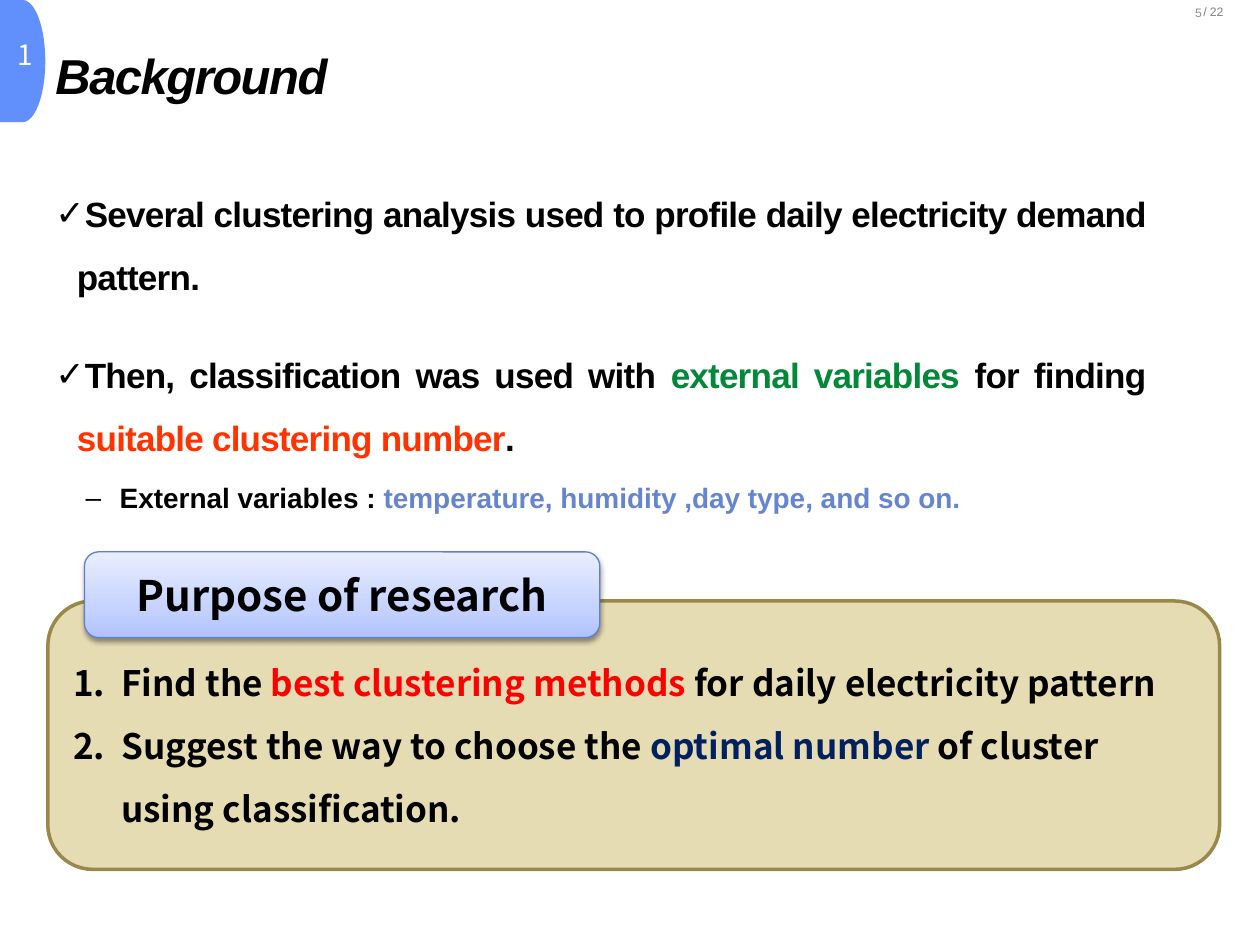
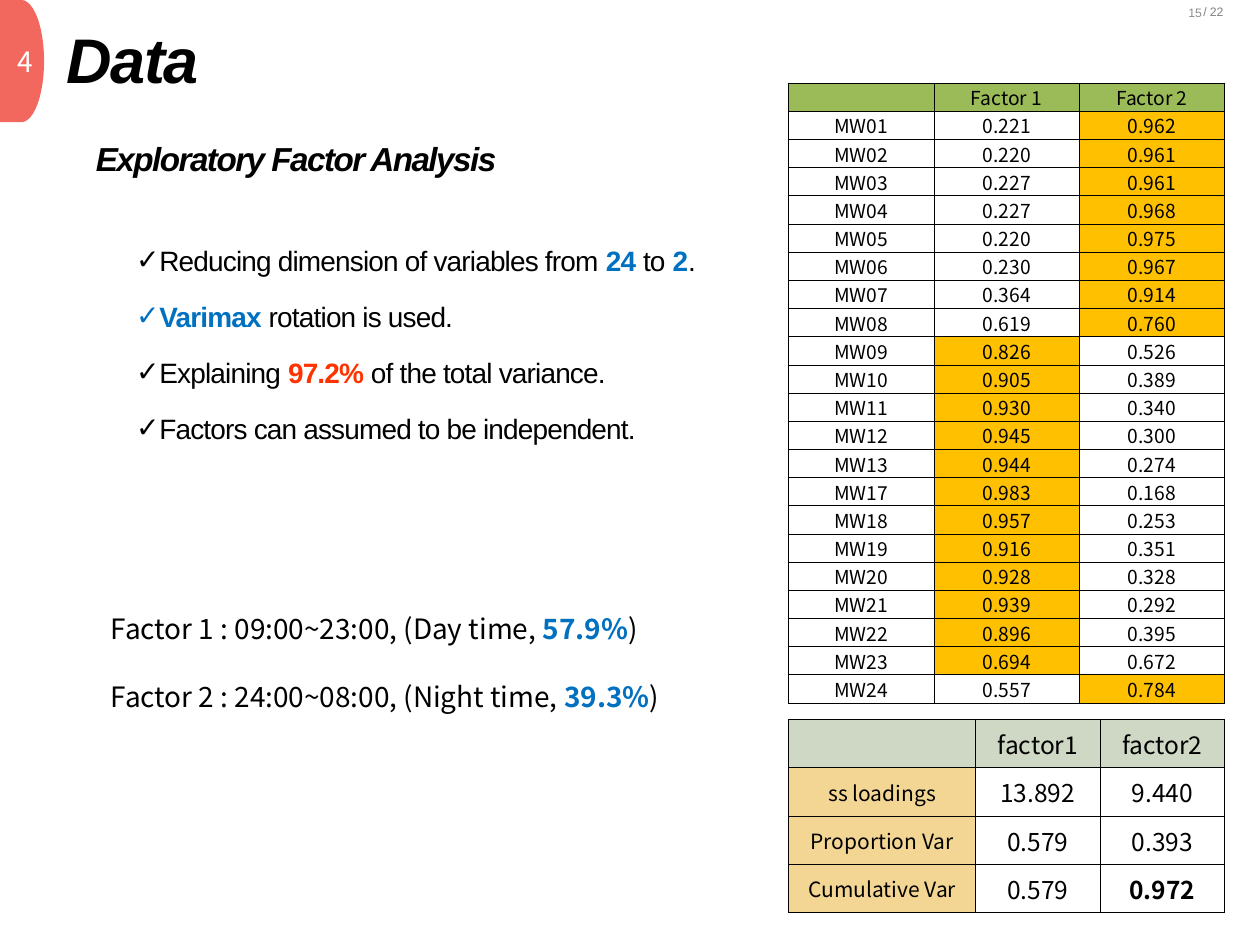
from pptx import Presentation
from pptx.dml.color import RGBColor
from pptx.enum.shapes import MSO_SHAPE
from pptx.enum.text import MSO_ANCHOR, MSO_AUTO_SIZE, PP_ALIGN
from pptx.oxml import parse_xml
from pptx.oxml.ns import nsdecls, qn
from pptx.util import Inches, Pt

LEFT, RIGHT, CENTER, FULL = (PP_ALIGN.LEFT, PP_ALIGN.RIGHT,
                             PP_ALIGN.CENTER, PP_ALIGN.JUSTIFY)
TOP, MIDDLE = MSO_ANCHOR.TOP, MSO_ANCHOR.MIDDLE
ROUND, DELAY = MSO_SHAPE.ROUNDED_RECTANGLE, MSO_SHAPE.FLOWCHART_DELAY
FIXED = MSO_AUTO_SIZE.NONE

SANS, NOTO = "Arial", "Noto Sans CJK KR"
BLACK, WHITE, BLUE, RED = "000000", "FFFFFF", "0070C0", "FF3300"
CELL = 0.1  # the slide is a grid of 100 columns and 75 rows
INSET = (0.09, 0.04, 0.09, 0.04)
PLAIN = (0.1, 0.05, 0.1, 0.05)
TIGHT = (0.01, 0, 0.01, 0)
CHECK = '<a:buChar {} char="\u2713"/>'
DASH = '<a:buChar {} char="\u2013"/>'
COUNT = '<a:buAutoNum {} type="arabicPeriod"/>'
BARE = "<a:buNone {}/>"


def rgb(text):
    """Turn a hex string into a colour."""
    return RGBColor.from_string(text)


def grid(*cells):
    """Turn grid cells into lengths."""
    return [Inches(cell * CELL) for cell in cells]


def xml(text):
    """Make an element from text with a slot for the namespace."""
    return parse_xml(text.format(nsdecls("a")))


def paint(fill, tone, alpha=None):
    """Fill with one colour, at a percentage of opacity if given."""
    fill.solid()
    fill.fore_color.rgb = rgb(tone)
    if alpha:
        node = fill._xPr.find(qn("a:solidFill"))[0]
        node.append(xml(f'<a:alpha {{}} val="{alpha * 1000}"/>'))


def edge(cell, width):
    """Draw black lines on the four sides of a cell."""
    props = cell._tc.get_or_add_tcPr()
    for side in "LRTB":
        props.append(xml(
            f'<a:ln{side} {{}} w="{Pt(width)}"><a:solidFill>'
            f'<a:srgbClr val="{BLACK}"/></a:solidFill></a:ln{side}>'))


class Deck:
    """Holds the shared style and the current slide."""

    def __init__(self):
        """Start an empty deck."""
        self.prs = Presentation()
        self.prs.slide_width, self.prs.slide_height = grid(100, 75)

    def start(self, layout, page, title, size, spot, badge):
        """Open a slide with its title, badge and page number."""
        self.slide = self.prs.slides.add_slide(self.prs.slide_layouts[layout])
        self.head(0, spot, title, size)
        digit, tone, col, row = badge
        paint(self.shape(DELAY, (col, 0, 3.6, 9.7)).fill, tone)
        box = self.text((0.4, row, 2.3, 5.8), PLAIN, MIDDLE)
        self.line(box, [digit], 16, NOTO, tone=WHITE, align=CENTER)
        box = self.text((89.4, 0, 6, 2), (0, 0, 0, 0), MIDDLE)
        self.line(box, [page], 7, tone="8C8C8C", align=RIGHT)
        self.line(self.text((94.6, -0.1, 3.6, 2)), ["/ 22"], 7, tone="808080")

    def frame(self, shape, inset=INSET, anchor=TOP):
        """Set wrap, insets and anchor, and return the text frame."""
        box = shape.text_frame
        box.word_wrap, box.auto_size = True, FIXED
        box.vertical_anchor = anchor
        (box.margin_left, box.margin_top, box.margin_right,
         box.margin_bottom) = [Inches(side) for side in inset]
        return box

    def text(self, spot, inset=INSET, anchor=TOP):
        """Add a text box."""
        box = self.slide.shapes.add_textbox(*grid(*spot))
        return self.frame(box, inset, anchor)

    def body(self, index, spot):
        """Move a placeholder and return its text frame."""
        holder = self.slide.placeholders[index]
        holder.left, holder.top, holder.width, holder.height = grid(*spot)
        return self.frame(holder)

    def head(self, index, spot, text, size):
        """Write a heading in a placeholder."""
        self.line(self.body(index, spot), [text], size, bold=True, slant=True,
                  space=-0.85, before=size * 0.2, bullet=BARE)

    def shape(self, kind, spot):
        """Add a preset shape without line and shadow."""
        item = self.slide.shapes.add_shape(kind, *grid(*spot))
        item.shadow.inherit = False
        item.line.fill.background()
        return item

    def line(self, box, parts, size, font=SANS, tone=BLACK, bold=False,
             slant=False, align=LEFT, space=0, before=0, gap=1,
             bullet=None, left=0, hang=0):
        """Add a paragraph; a part is text or (text, colour)."""
        para = box.paragraphs[0]
        if para.runs:
            para = box.add_paragraph()
        para.alignment, para.line_spacing = align, gap
        para.space_before = Pt(before)
        if bullet:
            props = para._p.get_or_add_pPr()
            props.set("marL", str(Inches(left)))
            props.set("indent", str(Inches(hang)))
            props.append(xml(bullet))
        para.font.name, para.font.size = font, Pt(size)
        para.font.italic = slant
        for part in parts:
            plain = isinstance(part, str)
            words, hue = (part, tone) if plain else part
            run = para.add_run()
            run.text = words
            run.font.bold = bold or not plain
            run.font.color.rgb = rgb(hue)
            if space:
                run.font._element.set("spc", str(round(space * 100)))

    def check(self, box, parts, size, extra=0, **style):
        """Add a paragraph with a check mark."""
        self.line(box, parts, size, space=-0.44, before=size * 0.2 + extra,
                  gap=1.5, bullet=CHECK, left=0.17, hang=-0.27, **style)

    def panel(self, spot, items):
        """Add the tinted box with a numbered list."""
        item = self.shape(ROUND, spot)
        paint(item.fill, "CEB966", 49)
        item.line.color.rgb, item.line.width = rgb("98894B"), Pt(2)
        box = self.frame(item, PLAIN, MIDDLE)
        for parts in items:
            self.line(box, parts, 20, NOTO, bold=True, gap=1.5,
                      bullet=COUNT, left=0.38, hang=-0.38)

    def label(self, spot, text):
        """Add the shaded tab with a soft shadow."""
        item = self.shape(ROUND, spot)
        item.fill.gradient()
        item.fill.gradient_angle = 90
        props = item._element.spPr
        stops = props.find(qn("a:gradFill")).find(qn("a:gsLst"))
        for stop in list(stops):
            stops.remove(stop)
        for place, tone in ((0, "B0C2FF"), (35, "C6D3FF"), (100, "E9EEFF")):
            stops.append(xml(f'<a:gs {{}} pos="{place * 1000}">'
                             f'<a:srgbClr val="{tone}"/></a:gs>'))
        item.line.color.rgb, item.line.width = rgb("6081CD"), Pt(0.75)
        props.find(qn("a:effectLst")).append(xml(
            f'<a:outerShdw {{}} blurRad="{Pt(3.1)}" dist="{Pt(1.6)}" '
            f'dir="5400000" rotWithShape="0"><a:srgbClr val="{BLACK}">'
            '<a:alpha val="38000"/></a:srgbClr></a:outerShdw>'))
        box = self.frame(item, PLAIN, MIDDLE)
        self.line(box, [text], 24, NOTO, bold=True, align=CENTER)

    def table(self, spot, rows, shares, width, inset, look):
        """Add a table; look(row, col) gives fill, size and bold."""
        table = self.slide.shapes.add_table(
            len(rows), len(shares), *grid(*spot)).table
        table.first_row = table.horz_banding = False
        wide, high = grid(*spot[2:])
        for col, share in zip(table.columns, shares):
            col.width = round(wide * share / sum(shares))
        for row in table.rows:
            row.height = round(high / len(rows))
        for r, row in enumerate(rows):
            for c, word in enumerate(row):
                cell = table.cell(r, c)
                edge(cell, width)
                fill, size, bold = look(r, c)
                if fill:
                    paint(cell.fill, *fill)
                else:
                    cell.fill.background()
                cell.vertical_anchor = MIDDLE
                (cell.margin_left, cell.margin_top, cell.margin_right,
                 cell.margin_bottom) = [Inches(side) for side in inset]
                self.line(cell.text_frame, [word] if word else [], size, NOTO,
                          bold=bold, align=CENTER)


LOADS = [["", "Factor 1", "Factor 2"]] + [row.split() for row in """\
MW01 0.221 0.962
MW02 0.220 0.961
MW03 0.227 0.961
MW04 0.227 0.968
MW05 0.220 0.975
MW06 0.230 0.967
MW07 0.364 0.914
MW08 0.619 0.760
MW09 0.826 0.526
MW10 0.905 0.389
MW11 0.930 0.340
MW12 0.945 0.300
MW13 0.944 0.274
MW17 0.983 0.168
MW18 0.957 0.253
MW19 0.916 0.351
MW20 0.928 0.328
MW21 0.939 0.292
MW22 0.896 0.395
MW23 0.694 0.672
MW24 0.557 0.784""".splitlines()]
TOTALS = [["", "factor1", "factor2"],
          ["ss loadings", "13.892", "9.440"],
          ["Proportion Var", "0.579", "0.393"],
          ["Cumulative Var", "0.579", "0.972"]]


def load(r, c):
    """Mark the header and the larger loading of each row."""
    if r == 0:
        return ("9BBB59",), 11, False
    top = c and LOADS[r][c] == max(LOADS[r][1:])
    return ("FFC000",) if top else None, 11, False


def total(r, c):
    """Mark the header, the row names and the final sum."""
    if r == 0:
        return ("768D5A", 35), 14, False
    if c == 0:
        return ("E9AE2B", 50), 12, False
    return None, 14, (r, c) == (3, 2)


deck = Deck()

deck.start(1, "5", "Background", 28, (3.5, 3.2, 64.6, 4.6),
           ("1", "618FFC", 0, 1.4))
box = deck.body(1, (3.5, 13.2, 88.3, 58.1))
deck.check(box, ["Several clustering analysis used to profile daily "
                 "electricity demand pattern."], 20, bold=True, align=FULL)
deck.check(box, ["Then, classification was used with ",
                 ("external variables ", "038738"), "for finding ",
                 ("suitable clustering number", RED), "."],
           20, extra=16, bold=True, align=FULL)
deck.line(box, ["External variables : ",
                ("temperature, humidity ,day type, and so on.", "6585CF")],
          16, bold=True, before=3.2, gap=1.5, bullet=DASH, left=0.51,
          hang=-0.27)
deck.panel((3.8, 47.7, 93, 21.3), [
    ["Find the ", ("best clustering methods", "FF0000"),
     " for daily electricity pattern"],
    ["Suggest the way to choose the ", ("optimal number ", "002060"),
     "of cluster using classification."]])
deck.label((6.7, 43.8, 40.9, 6.8), "Purpose of research")

deck.start(3, "15", "Data", 36, (4.4, 1.2, 64.6, 8.1),
           ("4", "F2685E", -0.1, 2))
deck.head(1, (6.7, 10.6, 84.3, 4.6), "Exploratory Factor Analysis", 19)
box = deck.body(2, (9.9, 17.6, 85.7, 55.7))
for parts in (
        ["Reducing dimension of variables from ", ("24", BLUE), " to ",
         ("2", BLUE), "."],
        [("Varimax", BLUE), " rotation is used."],
        ["Explaining ", ("97.2%", RED), " of the total variance."],
        ["Factors can assumed to be independent."]):
    deck.check(box, parts, 16)
box = deck.text((7.9, 45.5, 46.7, 11.6))
for words, share in (("Factor 1 : 09:00~23:00, (Day time, ", "57.9%"),
                     ("Factor 2 : 24:00~08:00, (Night time, ", "39.3%")):
    deck.line(box, [words, (share, BLUE), ")"], 16, NOTO, gap=2)
deck.table((62.6, 6.6, 34.6, 49.2), LOADS, (1, 1, 1), 0.5, TIGHT, load)
deck.table((62.6, 57.1, 34.6, 15.3), TOTALS, (1.5, 1, 1), 0.56, PLAIN, total)

deck.prs.save("out.pptx")
